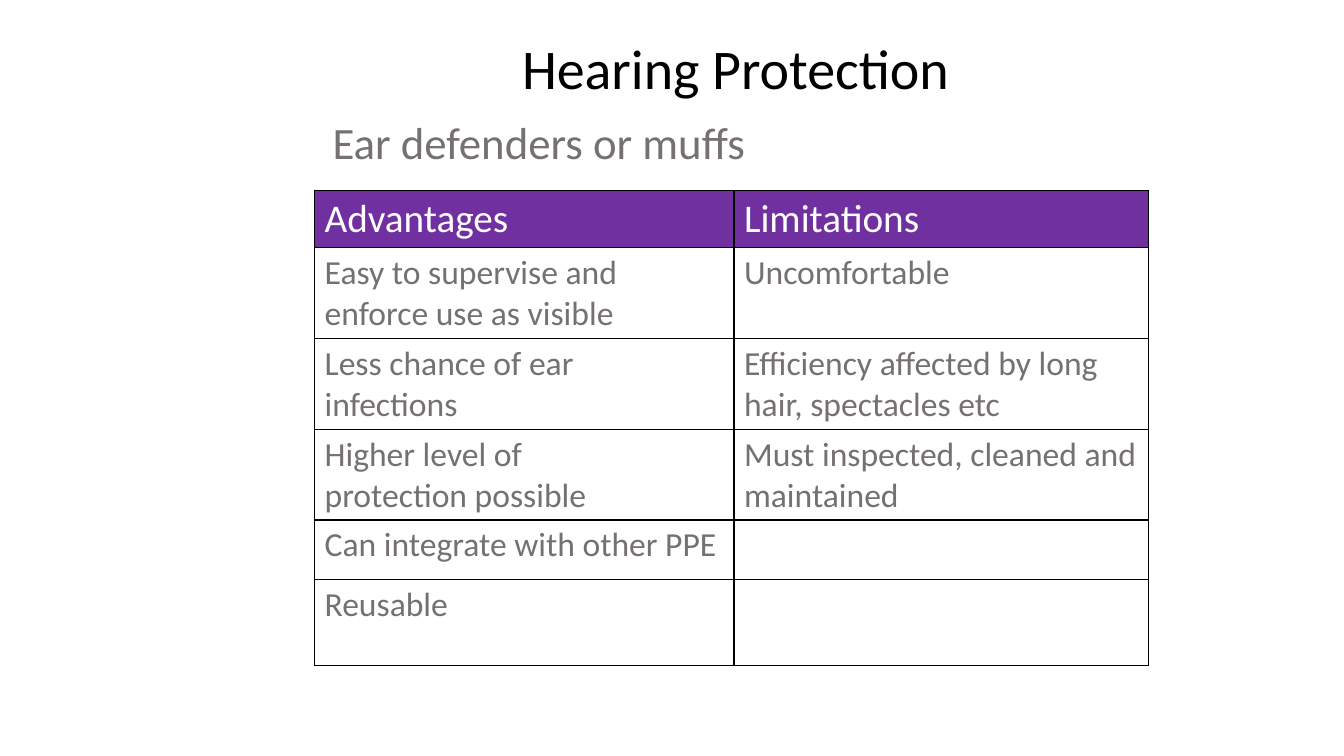
from dataclasses import dataclass

from lxml.etree import SubElement
from pptx import Presentation
from pptx.dml.color import RGBColor
from pptx.enum.text import MSO_ANCHOR, PP_ALIGN
from pptx.oxml.ns import qn
from pptx.util import Inches, Pt


@dataclass(frozen=True)
class Theme:
    """Colours, font and type sizes of the slide."""
    font: str = "Calibri"
    black: str = "000000"
    white: str = "FFFFFF"
    grey: str = "767171"
    purple: str = "7030A0"
    title_size: int = 40
    subtitle_size: int = 32
    header_size: int = 28
    body_size: int = 24


THEME = Theme()
COLUMN_WIDTHS = (4.16, 4.11)
ROW_HEIGHTS = (0.48, 0.75, 0.81, 0.79, 0.59, 0.85)
ROWS = (
    ("Advantages", "Limitations"),
    ("Easy to supervise and\nenforce use as visible", "Uncomfortable"),
    ("Less chance of ear\ninfections", "Efficiency affected by long hair, spectacles etc"),
    ("Higher level of\nprotection possible", "Must inspected, cleaned and\nmaintained"),
    ("Can integrate with other PPE", ""),
    ("Reusable", ""),
)


def write_text(frame, text, size, color):
    """Fill a text frame and format every run in it."""
    frame.text = text
    for paragraph in frame.paragraphs:
        for run in paragraph.runs:
            run.font.name = THEME.font
            run.font.size = Pt(size)
            run.font.color.rgb = RGBColor.from_string(color)


def add_label(slide, box, text, size, color):
    """Add a wrapping text box and return its text frame."""
    frame = slide.shapes.add_textbox(*map(Inches, box)).text_frame
    frame.word_wrap = True
    write_text(frame, text, size, color)
    return frame


def add_borders(cell):
    """Draw a thin black line on all four sides of a cell."""
    properties = cell._tc.get_or_add_tcPr()
    for position, side in enumerate(("lnL", "lnR", "lnT", "lnB")):
        line = SubElement(properties, qn(f"a:{side}"), w=str(Pt(1)))
        fill = SubElement(line, qn("a:solidFill"))
        SubElement(fill, qn("a:srgbClr"), val=THEME.black)
        properties.insert(position, line)


def add_comparison(slide, left, top):
    """Add the table of advantages and limitations."""
    table = slide.shapes.add_table(
        len(ROWS), len(COLUMN_WIDTHS), Inches(left), Inches(top),
        Inches(sum(COLUMN_WIDTHS)), Inches(sum(ROW_HEIGHTS))).table
    for column, width in zip(table.columns, COLUMN_WIDTHS):
        column.width = Inches(width)
    for index, (row, height, texts) in enumerate(zip(table.rows, ROW_HEIGHTS, ROWS)):
        row.height = Inches(height)
        is_header = index == 0
        size = THEME.header_size if is_header else THEME.body_size
        color = THEME.white if is_header else THEME.grey
        for cell, text in zip(row.cells, texts):
            write_text(cell.text_frame, text, size, color)
            if is_header:
                cell.fill.solid()
                cell.fill.fore_color.rgb = RGBColor.from_string(THEME.purple)
            else:
                cell.fill.background()
            add_borders(cell)


def main():
    """Build the hearing protection slide."""
    deck = Presentation()
    deck.slide_width, deck.slide_height = Inches(13.33), Inches(7.5)
    slide = deck.slides.add_slide(deck.slide_layouts[6])
    title = add_label(slide, (2.92, 0, 8.75, 1.41), "Hearing Protection",
                      THEME.title_size, THEME.black)
    title.vertical_anchor = MSO_ANCHOR.MIDDLE
    title.paragraphs[0].alignment = PP_ALIGN.CENTER
    title.paragraphs[0].line_spacing = 0.9
    add_comparison(slide, 3.12, 1.89)
    add_label(slide, (3.2, 1.09, 6.33, 0.64), "Ear defenders or muffs",
              THEME.subtitle_size, THEME.grey)
    deck.save("out.pptx")


if __name__ == "__main__":
    main()
